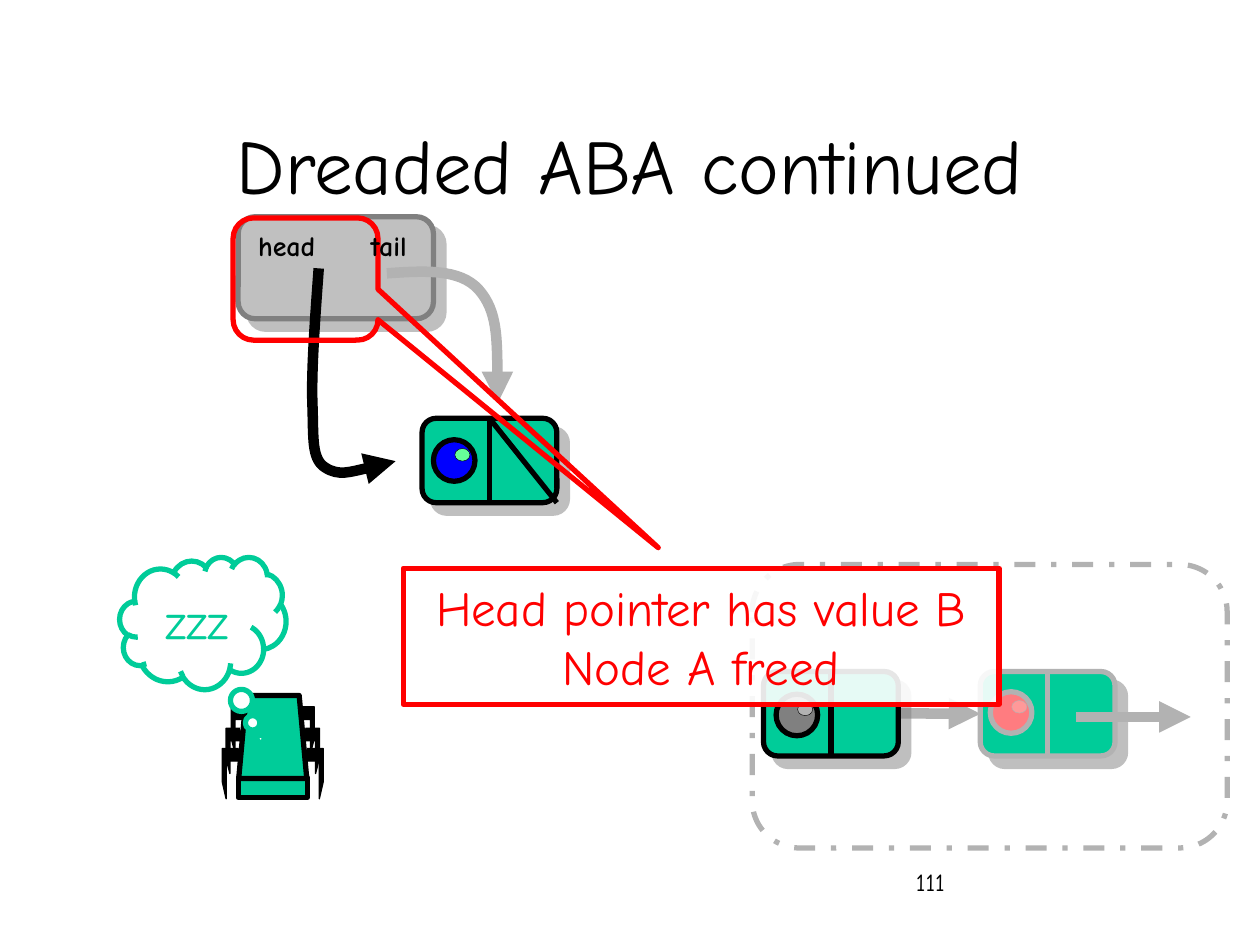
from lxml import etree
from pptx import Presentation
from pptx.dml.color import RGBColor
from pptx.enum.dml import MSO_LINE
from pptx.enum.shapes import MSO_CONNECTOR, MSO_SHAPE
from pptx.enum.text import MSO_ANCHOR, PP_ALIGN
from pptx.oxml.ns import qn
from pptx.util import Inches, Pt

STRAIGHT = MSO_CONNECTOR.STRAIGHT
RECT, ROUNDED, OVAL = MSO_SHAPE.RECTANGLE, MSO_SHAPE.ROUNDED_RECTANGLE, MSO_SHAPE.OVAL
CLOUD, SPEECH = MSO_SHAPE.CLOUD_CALLOUT, MSO_SHAPE.ROUNDED_RECTANGULAR_CALLOUT
DASH_DOT = MSO_LINE.DASH_DOT
LEFT, CENTER = PP_ALIGN.LEFT, PP_ALIGN.CENTER
TOP_ANCHOR, MIDDLE = MSO_ANCHOR.TOP, MSO_ANCHOR.MIDDLE
TOP, LEFT_SIDE, BOTTOM = 0, 1, 2  # connection sites

BLACK = RGBColor(0x00, 0x00, 0x00)
WHITE = RGBColor(0xFF, 0xFF, 0xFF)
GREEN = RGBColor(0x00, 0xCC, 0x99)
RED = RGBColor(0xFF, 0x00, 0x00)
BLUE = RGBColor(0x00, 0x00, 0xFF)
MINT = RGBColor(0x66, 0xFF, 0x99)
ROSE = RGBColor(0xFF, 0x7C, 0x80)
PINK = RGBColor(0xFF, 0x99, 0x99)
SILVER = RGBColor(0xC0, 0xC0, 0xC0)
PALE_GRAY = RGBColor(0xB2, 0xB2, 0xB2)
GRAY = RGBColor(0x80, 0x80, 0x80)

FONT = "Comic Neue"
SLIDE_W, SLIDE_H = Inches(10), Inches(7.5)
COLUMN, ROW = SLIDE_W / 10, SLIDE_H / 7.5
NODE_W, NODE_H = 1.07, 0.67
EYE = 0.33


def grid(x, y):
    """Turn columns and rows into slide lengths."""
    return round(x * COLUMN), round(y * ROW)


def add_text(frame, text, size=28, color=BLACK, bold=False, align=CENTER,
             anchor=MIDDLE, wrap=True):
    frame.word_wrap = wrap
    frame.vertical_anchor = anchor
    for index, line in enumerate(text.split("\n")):
        paragraph = frame.add_paragraph() if index else frame.paragraphs[0]
        paragraph.alignment = align
        run = paragraph.add_run()
        run.text = line
        run.font.name, run.font.size, run.font.bold = FONT, Pt(size), bold
        run.font.color.rgb = color


def add_label(slide, text, x, y, w, h, **style):
    box = slide.shapes.add_textbox(*grid(x, y), *grid(w, h))
    add_text(box.text_frame, text, **style)


def paint(shape, fill, line, weight):
    shape.shadow.inherit = False
    if fill is None:
        shape.fill.background()
    else:
        shape.fill.solid()
        shape.fill.fore_color.rgb = fill
    shape.line.color.rgb = line
    shape.line.width = Pt(weight)


def add_figure(slide, kind, x, y, w, h, fill, line, weight=3, adjust=()):
    figure = slide.shapes.add_shape(kind, *grid(x, y), *grid(w, h))
    for index, value in enumerate(adjust):
        figure.adjustments[index] = value
    paint(figure, fill, line, weight)
    return figure


def cast_shadow(shape):
    effects = shape._element.spPr.find(qn("a:effectLst"))
    shadow = etree.SubElement(effects, qn("a:outerShdw"), dist=str(Pt(8.5)),
                              dir=str(45 * 60000), algn="ctr", rotWithShape="0")
    color = etree.SubElement(shadow, qn("a:srgbClr"), val=str(GRAY))
    etree.SubElement(color, qn("a:alpha"), val="50000")


def add_arrowhead(shape):
    etree.SubElement(shape.line._get_or_add_ln(), qn("a:tailEnd"), type="triangle")


def add_line(slide, start, end, color, weight=3, arrow=False):
    line = slide.shapes.add_connector(STRAIGHT, *grid(*start), *grid(*end))
    line.line.color.rgb = color
    line.line.width = Pt(weight)
    if arrow:
        add_arrowhead(line)
    etree.SubElement(line._element.spPr, qn("a:effectLst"))
    return line


def add_outline(slide, points, fill, line, weight, close=False):
    start, *rest = [grid(*point) for point in points]
    builder = slide.shapes.build_freeform(*start)
    builder.add_line_segments(rest, close=close)
    outline = builder.convert_to_shape()
    paint(outline, fill, line, weight)
    return outline


def add_curved_arrow(slide, points, color):
    """Draw cubic curves: a start, then two control points and an end for each."""
    curve = add_outline(slide, points, None, color, 6)
    segments = list(curve._element.iter(qn("a:lnTo")))
    for first in range(0, len(segments), 3):
        trio = segments[first:first + 3]
        bezier = etree.Element(qn("a:cubicBezTo"))
        trio[0].addprevious(bezier)
        for segment in trio:
            bezier.append(segment[0])
            segment.getparent().remove(segment)
    add_arrowhead(curve)


def add_node(slide, x, y, line):
    """Draw a list node: a value cell and a next cell."""
    node = add_figure(slide, ROUNDED, x, y, NODE_W, NODE_H, GREEN, line, adjust=[0.167])
    cast_shadow(node)
    middle = x + NODE_W / 2
    divider = add_line(slide, (middle, y), (middle, y + NODE_H), line)
    divider.begin_connect(node, TOP)
    divider.end_connect(node, BOTTOM)
    return node


def add_value(slide, x, y, fill, glint, line):
    add_figure(slide, OVAL, x, y, EYE, EYE, fill, line)
    add_figure(slide, OVAL, x + 0.17, y + 0.07, 0.12, 0.1, glint, line, 0.25)


def add_robot(slide, center):
    """Draw the sleeping thread with three mirrored pairs of legs."""
    add_figure(slide, RECT, center - 0.275, 6.17, 0.55, 0.16, GREEN, BLACK)
    for reach, top, w, h in ((0.4, 5.94, 0.16, 0.4), (0.37, 5.78, 0.14, 0.36),
                             (0.33, 5.61, 0.15, 0.37)):
        leg = ((reach - w + 0.03, 0), (reach, 0), (reach, 0.67 * h),
               (reach - 0.03, h), (reach - 0.03, 0.1), (reach - w, 0.1))
        for side in (1, -1):
            points = [(center + side * dx, top + dy) for dx, dy in leg]
            add_outline(slide, points, BLACK, BLACK, 0.75)
    body = [(center - 0.27, 6.18), (center - 0.21, 5.52),
            (center + 0.21, 5.52), (center + 0.27, 6.18)]
    add_outline(slide, body, GREEN, BLACK, 3, close=True)


def main():
    deck = Presentation()
    deck.slide_width, deck.slide_height = SLIDE_W, SLIDE_H
    slide = deck.slides.add_slide(deck.slide_layouts[6])

    # Page number, queue object and title
    add_label(slide, "111", 7.17, 6.83, 2.08, 0.5, size=14, align=LEFT, anchor=TOP_ANCHOR)
    queue = add_figure(slide, ROUNDED, 1.89, 1.72, 1.55, 0.81, SILVER, GRAY, adjust=[0.167])
    cast_shadow(queue)
    add_label(slide, "Dreaded ABA continued", 0.75, 0.67, 8.5, 1.25, size=44)

    # Head pointer and live node B
    add_curved_arrow(slide, [(2.53, 2.13), (2.5, 2.54), (2.47, 2.95), (2.48, 3.21),
                             (2.49, 3.47), (2.47, 3.64), (2.58, 3.71),
                             (2.69, 3.78), (2.91, 3.72), (3.14, 3.66)], BLACK)
    live_node = add_node(slide, 3.35, 3.32, BLACK)
    null_mark = add_line(slide, (3.89, 3.32), (4.42, 3.99), BLACK)
    null_mark.begin_connect(live_node, TOP)
    add_value(slide, 3.44, 3.49, BLUE, MINT, BLACK)

    # Freed nodes
    last_freed = add_node(slide, 7.78, 5.33, PALE_GRAY)
    next_link = add_line(slide, (6.87, 5.66), (7.78, 5.66), PALE_GRAY, 6, arrow=True)
    next_link.end_connect(last_freed, LEFT_SIDE)
    add_value(slide, 7.86, 5.49, ROSE, PINK, PALE_GRAY)
    add_line(slide, (8.54, 5.69), (9.45, 5.69), PALE_GRAY, 6, arrow=True)
    add_node(slide, 6.06, 5.33, BLACK)
    add_value(slide, 6.16, 5.51, GRAY, PALE_GRAY, BLACK)

    # Sleeping thread and free pool
    add_robot(slide, 2.165)
    pool = add_figure(slide, ROUNDED, 5.97, 4.48, 3.77, 2.25, None, PALE_GRAY, adjust=[0.167])
    pool.line.dash_style = DASH_DOT
    dream = add_figure(slide, CLOUD, 0.95, 4.42, 1.32, 1.05, WHITE, GREEN,
                       adjust=[0.347, 0.874])
    add_text(dream.text_frame, "zzz", color=GREEN)

    # Tail pointer
    add_curved_arrow(slide, [(3.07, 2.17), (3.36, 2.15), (3.65, 2.13), (3.8, 2.3),
                             (3.95, 2.47), (3.95, 2.84), (3.95, 3.2)], PALE_GRAY)

    # Callout around the head field
    add_figure(slide, SPEECH, 1.85, 1.73, 1.15, 0.97, None, RED, adjust=[2.434, 2.198, 0.167])
    message = add_figure(slide, RECT, 3.2, 4.51, 4.73, 1.08, WHITE, RED)
    tint = message._element.spPr.find(qn("a:solidFill"))[0]
    etree.SubElement(tint, qn("a:alpha"), val="90000")
    add_text(message.text_frame, "Head pointer has value B\nNode A freed",
             color=RED, wrap=False)

    # Field names
    for field, x, w in (("head", 1.92, 0.71), ("tail", 2.81, 0.55)):
        add_label(slide, field, x, 1.76, w, 0.37, size=16, bold=True, wrap=False)

    deck.save("out.pptx")


if __name__ == "__main__":
    main()
